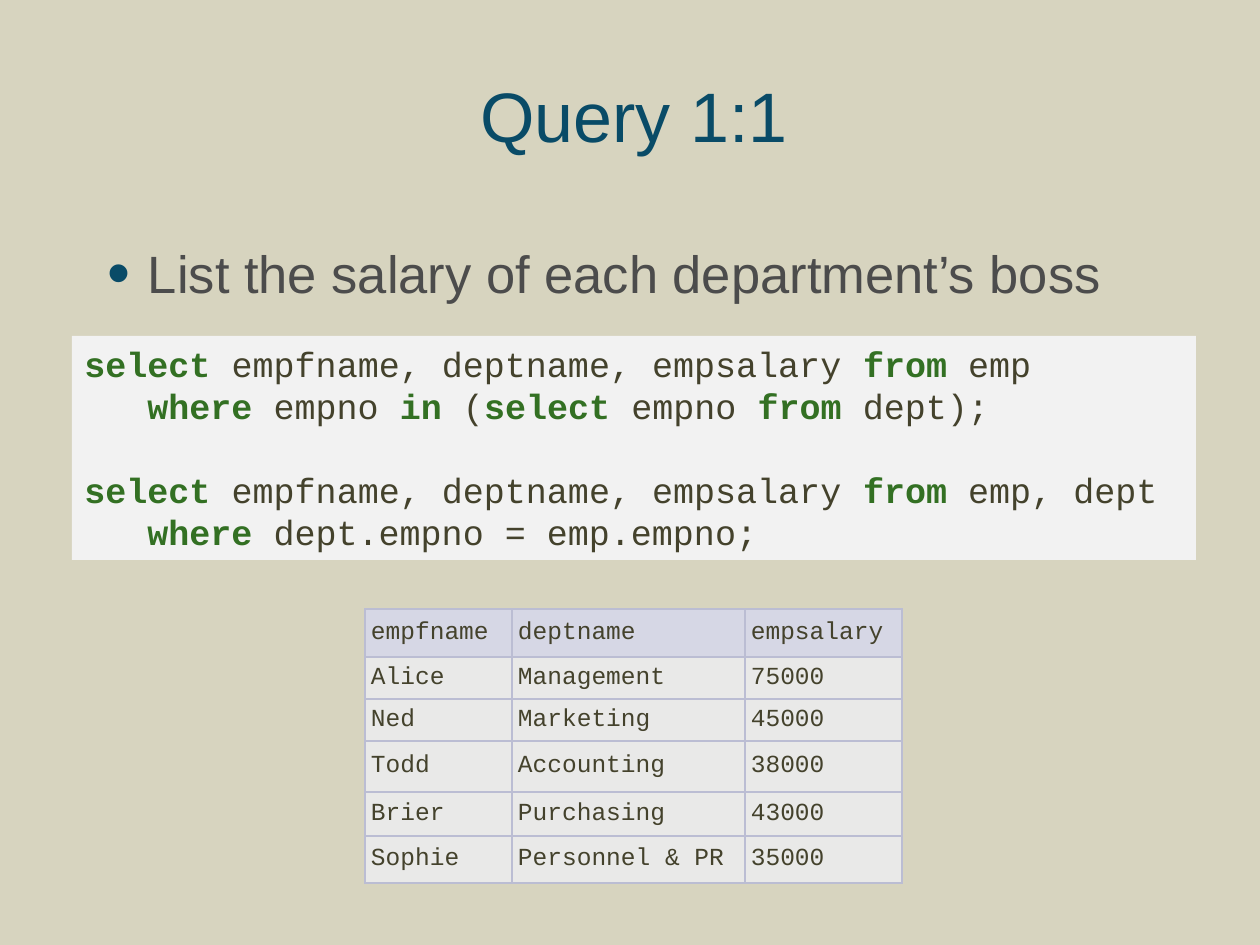
from dataclasses import dataclass

from lxml.etree import SubElement
from pptx import Presentation
from pptx.dml.color import RGBColor
from pptx.enum.shapes import MSO_SHAPE as SHAPE
from pptx.enum.text import MSO_ANCHOR as ANCHOR, PP_ALIGN as ALIGN
from pptx.oxml.ns import qn
from pptx.util import Pt

PX = 914400 / 126


@dataclass(frozen=True)
class Theme:
    background: str = "D7D4BF"
    accent: str = "094B67"
    body: str = "4C4C4C"
    code: str = "44422C"
    keyword: str = "337023"
    code_fill: str = "F2F2F2"
    header_fill: str = "D6D7E5"
    cell_fill: str = "E9E9E8"
    border: str = "BBBDD3"
    sans: str = "Arial"
    mono: str = "Courier New"
    title_size: int = 40
    body_size: int = 30
    code_size: int = 20
    table_size: int = 14


THEME = Theme()
KEYWORDS = {"select", "from", "where", "in"}
QUERIES = [
    [
        ["select ", "empfname, deptname, empsalary ", "from ", "emp"],
        ["\t", "where ", "empno ", "in ", "(", "select ", "empno ", "from", " dept);"],
    ],
    [
        ["select ", "empfname, deptname, empsalary ", "from ", "emp, dept"],
        ["\t", "where ", "dept.empno = emp.empno;"],
    ],
]
SALARIES = [
    ["empfname", "deptname", "empsalary"],
    ["Alice", "Management", "75000"],
    ["Ned", "Marketing", "45000"],
    ["Todd", "Accounting", "38000"],
    ["Brier", "Purchasing", "43000"],
    ["Sophie", "Personnel & PR", "35000"],
]
COLUMN_WIDTHS = [147, 233, 157]
ROW_HEIGHTS = [48, 42, 42, 51, 44, 47]


def px(n):
    return round(n * PX)


def rgb(value):
    return RGBColor.from_string(value)


def set_attrs(obj, values):
    for name, value in values.items():
        setattr(obj, name, value)


def place(sp, left, top, width, height):
    set_attrs(sp, {"left": px(left), "top": px(top), "width": px(width), "height": px(height)})


def set_margins(obj, x, y):
    set_attrs(obj, {"margin_left": px(x), "margin_right": px(x),
                    "margin_top": px(y), "margin_bottom": px(y)})


def fill(obj, color):
    obj.fill.solid()
    obj.fill.fore_color.rgb = rgb(color)


def add_run(p, text, face, size, color, bold=False):
    r = p.add_run()
    r.text = text
    set_attrs(r.font, {"name": face, "size": Pt(size), "bold": bold})
    r.font.color.rgb = rgb(color)


def set_bullet(p, left, hanging):
    pPr = p._p.get_or_add_pPr()
    pPr.set("marL", str(px(left)))
    pPr.set("indent", str(-px(hanging)))
    SubElement(SubElement(pPr, qn("a:buClr")), qn("a:srgbClr"), val=THEME.accent)
    SubElement(pPr, qn("a:buSzPct"), val="125000")
    SubElement(pPr, qn("a:buFont"), typeface=THEME.sans)
    SubElement(pPr, qn("a:buChar"), char="•")


def fill_title(sp, text):
    place(sp, 76, 39, 1116, 152)
    tf = sp.text_frame
    tf.vertical_anchor = ANCHOR.MIDDLE
    p = tf.paragraphs[0]
    p.alignment = ALIGN.CENTER
    add_run(p, text, THEME.sans, THEME.title_size, THEME.accent)


def fill_body(sp, text):
    place(sp, 76, 233, 1116, 625)
    tf = sp.text_frame
    set_margins(tf, 8, 8)
    p = tf.paragraphs[0]
    set_bullet(p, 64, 40)
    p.space_before = Pt(0)
    add_run(p, text, THEME.sans, THEME.body_size, THEME.body)


def add_code(slide, queries):
    sp = slide.shapes.add_shape(SHAPE.RECTANGLE, px(72), px(336), px(1124), px(224))
    sp.shadow.inherit = False
    fill(sp, THEME.code_fill)
    sp.line.fill.background()
    tf = sp.text_frame
    set_attrs(tf, {"word_wrap": True, "vertical_anchor": ANCHOR.TOP})
    p = None
    for query in queries:
        for i, line in enumerate(query):
            gap = 24 if p is not None and i == 0 else 0
            p = tf.paragraphs[0] if p is None else tf.add_paragraph()
            set_attrs(p, {"alignment": ALIGN.LEFT, "space_before": Pt(gap),
                          "line_spacing": Pt(24)})
            for text in line:
                bold = text.strip() in KEYWORDS
                color = THEME.keyword if bold else THEME.code
                add_run(p, text, THEME.mono, THEME.code_size, color, bold)


def set_borders(cell):
    tcPr = cell._tc.get_or_add_tcPr()
    for i, side in enumerate(("lnL", "lnR", "lnT", "lnB")):
        ln = tcPr.makeelement(qn(f"a:{side}"), {"w": str(Pt(1))})
        SubElement(SubElement(ln, qn("a:solidFill")), qn("a:srgbClr"), val=THEME.border)
        tcPr.insert(i, ln)


def add_salary_table(slide, rows):
    table = slide.shapes.add_table(
        len(rows), len(rows[0]), px(365), px(609),
        px(sum(COLUMN_WIDTHS)), px(sum(ROW_HEIGHTS))).table
    for column, width in zip(table.columns, COLUMN_WIDTHS):
        column.width = px(width)
    for i, (row, height) in enumerate(zip(rows, ROW_HEIGHTS)):
        table.rows[i].height = px(height)
        for j, text in enumerate(row):
            cell = table.cell(i, j)
            cell.vertical_anchor = ANCHOR.MIDDLE
            set_margins(cell, 6, 6)
            fill(cell, THEME.cell_fill if i else THEME.header_fill)
            set_borders(cell)
            add_run(cell.text_frame.paragraphs[0], text, THEME.mono,
                    THEME.table_size, THEME.code)


def main():
    prs = Presentation()
    set_attrs(prs, {"slide_width": px(1260), "slide_height": px(945)})
    slide = prs.slides.add_slide(prs.slide_layouts[1])
    fill(slide.background, THEME.background)
    fill_title(slide.shapes.title, "Query 1:1")
    fill_body(slide.placeholders[1], "List the salary of each department’s boss")
    add_code(slide, QUERIES)
    add_salary_table(slide, SALARIES)
    prs.save("out.pptx")


if __name__ == "__main__":
    main()
